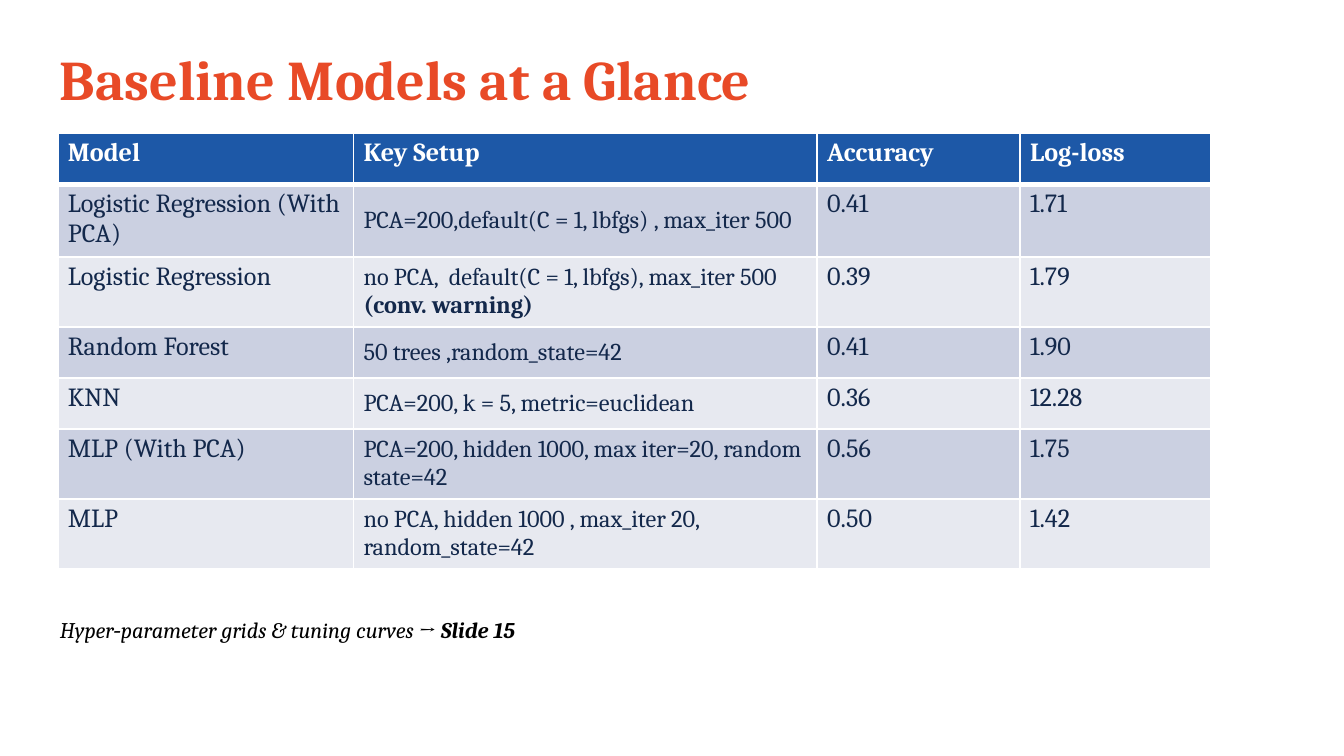
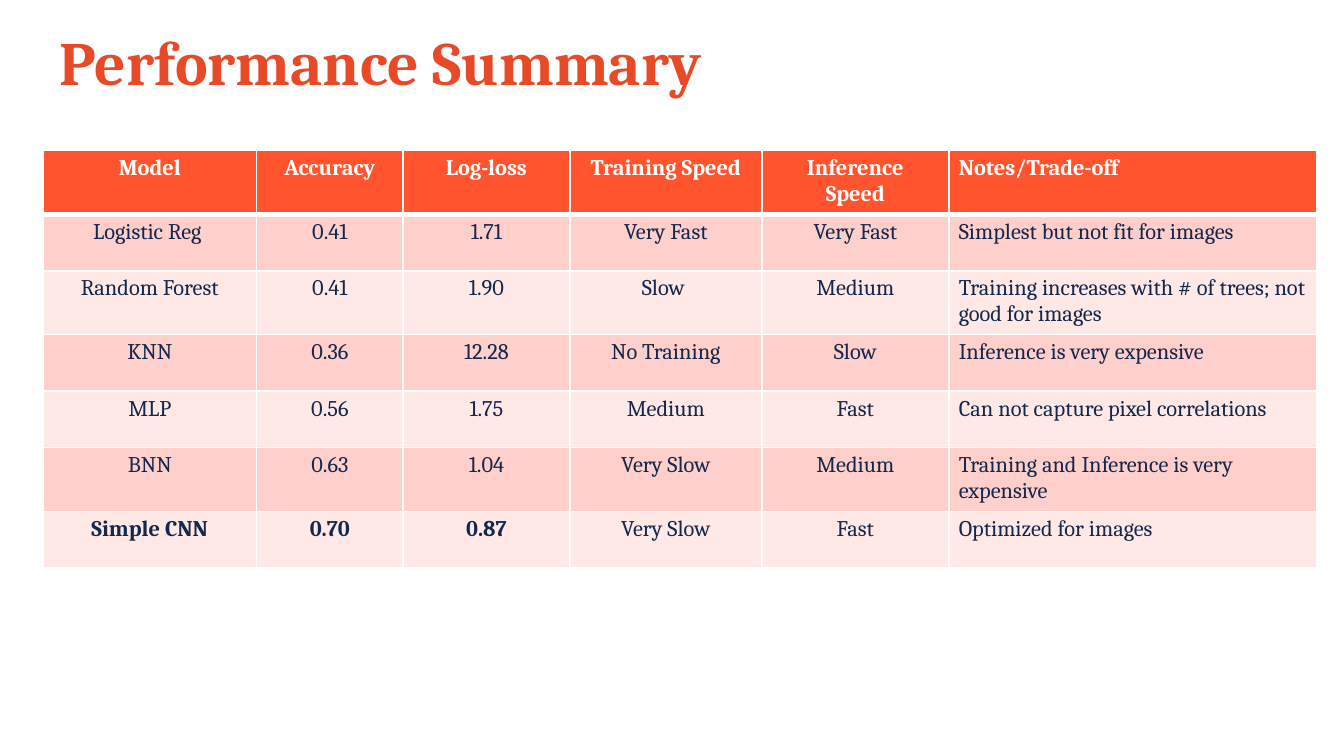
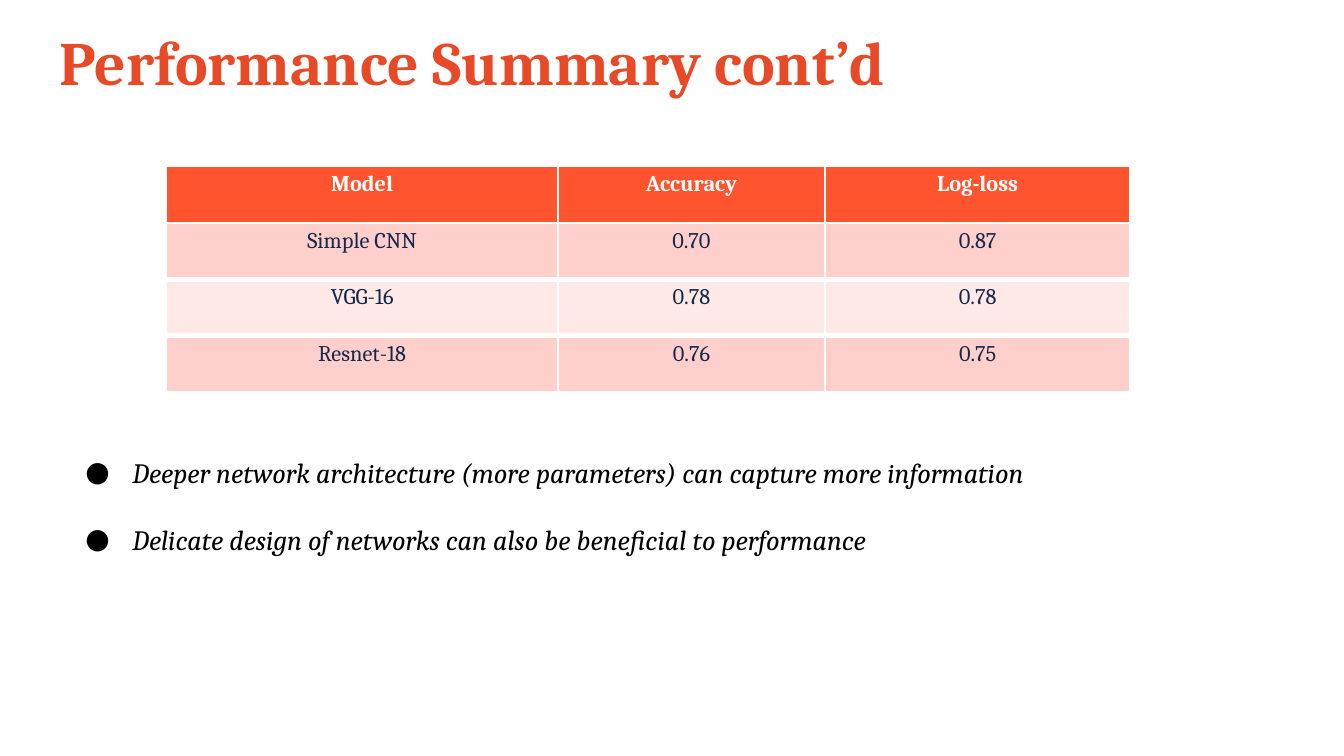
"""Builds three slides that compare model results in tables."""
from dataclasses import dataclass

import pptx
import pptx.dml.color
import pptx.enum.text
import pptx.oxml
import pptx.oxml.ns
import pptx.util

Inches = pptx.util.Inches
Pt = pptx.util.Pt
ALIGN = pptx.enum.text.PP_ALIGN
ANCHOR = pptx.enum.text.MSO_ANCHOR

FONT = "Cambria"
ORANGE, NAVY, WHITE, BLACK = "E84A27", "13284B", "FFFFFF", "000000"
CELL_PAD = Inches(0.15) // 2


@dataclass(frozen=True)
class Palette:
    """Fill colours of a table."""
    header: str
    odd: str
    even: str


BLUE = Palette("1D58A7", "CBD0E1", "E7E9F0")
RED = Palette("FF542E", "FFCFCC", "FFE9E7")


@dataclass(frozen=True)
class TextStyle:
    """Look of a piece of text."""
    size: float
    color: str
    bold: bool = False
    italic: bool = False


@dataclass(frozen=True)
class TableSpec:
    """Place, look and content of a table; ** marks bold text."""
    left: float
    top: float
    widths: tuple[float, ...]
    heights: tuple[float, ...]
    palette: Palette
    size: float
    rows: tuple[tuple[str, ...], ...]
    centered: int = 0
    thick_below: tuple[int, ...] = (0,)
    setup_col: int | None = None


BASELINES = TableSpec(
    0.43, 0.99, (2.2, 3.45, 1.51, 1.42),
    (0.38, 0.54, 0.52, 0.38, 0.38, 0.52, 0.52), BLUE, 14,
    (
        ("Model", "Key Setup", "Accuracy", "Log-loss"),
        ("Logistic Regression (With PCA)",
         "PCA=200,default(C = 1, lbfgs) , max_iter 500", "0.41", "1.71"),
        ("Logistic Regression",
         "no PCA,  default(C = 1, lbfgs), max_iter 500 **(conv. warning)**",
         "0.39", "1.79"),
        ("Random Forest", "50 trees ,random_state=42", "0.41", "1.90"),
        ("KNN", "PCA=200, k = 5, metric=euclidean", "0.36", "12.28"),
        ("MLP (With PCA)",
         "PCA=200, hidden 1000, max iter=20, random state=42", "0.56", "1.75"),
        ("MLP", "no PCA, hidden 1000 , max_iter 20, random_state=42",
         "0.50", "1.42"),
    ),
    setup_col=1,
)

SUMMARY = TableSpec(
    0.32, 1.12, (1.59, 1.09, 1.24, 1.43, 1.39, 2.74), (0.42,) * 7, RED, 12,
    (
        ("Model", "Accuracy", "Log-loss", "Training Speed",
         "Inference\nSpeed", "Notes/Trade-off"),
        ("Logistic Reg ", "0.41", "1.71", "Very Fast", "Very Fast",
         "Simplest but not fit for images"),
        ("Random Forest", "0.41", "1.90", "Slow ", "Medium",
         "Training increases with # of trees; not good for images"),
        ("KNN", "0.36", "12.28", "No Training", "Slow",
         "Inference is very expensive"),
        ("MLP", "0.56", "1.75", "Medium", "Fast",
         "Can not capture pixel correlations"),
        ("BNN", "0.63", "1.04", "Very Slow", "Medium",
         "Training and Inference is very expensive"),
        ("**Simple CNN**", "**0.70**", "**0.87**", "Very Slow", "Fast",
         "Optimized for images"),
    ),
    centered=5,
)

NETWORKS = TableSpec(
    1.24, 1.24, (2.91, 1.99, 2.27), (0.42,) * 4, RED, 12,
    (
        ("Model", "Accuracy", "Log-loss"),
        ("Simple CNN", "0.70", "0.87"),
        ("VGG-16", "0.78", "0.78"),
        ("Resnet-18", "0.76", "0.75"),
    ),
    centered=3,
    thick_below=(1, 2),
)

FINDINGS = (
    "Deeper network architecture (more parameters) can capture more information",
    "Delicate design of networks can also be beneficial to performance",
)


def rgb(value: str) -> pptx.dml.color.RGBColor:
    """Return the colour for a hex string."""
    return pptx.dml.color.RGBColor.from_string(value)


def write(tf, text: str, style: TextStyle) -> None:
    """Fill a text frame, one paragraph a line."""
    for i, line in enumerate(text.split("\n")):
        p = tf.paragraphs[0] if i == 0 else tf.add_paragraph()
        for j, part in enumerate(line.split("**")):
            if not part:
                continue
            r = p.add_run()
            r.text = part
            r.font.name = FONT
            r.font.size = Pt(style.size)
            r.font.color.rgb = rgb(style.color)
            r.font.bold = style.bold or j % 2 == 1
            r.font.italic = style.italic


def add_text(s, left: float, top: float, width: float, height: float,
             text: str, style: TextStyle):
    """Add a wrapped text box and return its text frame."""
    sp = s.shapes.add_textbox(*map(Inches, (left, top, width, height)))
    tf = sp.text_frame
    tf.word_wrap = True
    tf.margin_left = tf.margin_right = CELL_PAD
    tf.margin_top = tf.margin_bottom = CELL_PAD // 2
    write(tf, text, style)
    return tf


def add_title(s, text: str, top: float, size: float) -> None:
    """Add the slide title."""
    tf = add_text(s, 0.37, top, 9.42, 0.64, text, TextStyle(size, ORANGE, bold=True))
    tf.vertical_anchor = ANCHOR.MIDDLE
    tf.paragraphs[0].line_spacing = 0.9


def set_borders(cell, top: float, bottom: float) -> None:
    """Draw white borders round a cell, with the given widths above and below."""
    tc_pr = cell._tc.get_or_add_tcPr()
    for side, width in (("L", 1), ("R", 1), ("T", top), ("B", bottom)):
        tc_pr.append(pptx.oxml.parse_xml(
            f'<a:ln{side} {pptx.oxml.ns.nsdecls("a")} w="{Pt(width)}"><a:solidFill>'
            f'<a:srgbClr val="{WHITE}"/></a:solidFill></a:ln{side}>'))


def add_table(s, spec: TableSpec) -> None:
    """Add a banded table with a header row."""
    frame = s.shapes.add_table(
        len(spec.heights), len(spec.widths), Inches(spec.left), Inches(spec.top),
        Inches(sum(spec.widths)), Inches(sum(spec.heights)))
    table = frame.table
    for column, width in zip(table.columns, spec.widths):
        column.width = Inches(width)
    for i, (height, texts) in enumerate(zip(spec.heights, spec.rows)):
        table.rows[i].height = Inches(height)
        is_header = i == 0
        fill = spec.palette.odd if i % 2 else spec.palette.even
        above, below = (3 if n in spec.thick_below else 1 for n in (i - 1, i))
        for j, text in enumerate(texts):
            cell = table.cell(i, j)
            cell.margin_left = cell.margin_right = CELL_PAD
            cell.margin_top = cell.margin_bottom = CELL_PAD // 2
            set_borders(cell, above, below)
            cell.fill.solid()
            cell.fill.fore_color.rgb = rgb(spec.palette.header if is_header else fill)
            size = spec.size
            if j == spec.setup_col and not is_header:
                cell.vertical_anchor = ANCHOR.MIDDLE
                size -= 1
            write(cell.text_frame, text,
                  TextStyle(size, WHITE if is_header else NAVY, bold=is_header))
            if j < spec.centered:
                for p in cell.text_frame.paragraphs:
                    p.alignment = ALIGN.CENTER


def add_findings(s) -> None:
    """Add the bulleted findings."""
    tf = add_text(s, 0.41, 3.35, 9.42, 0.83, "\n".join(FINDINGS),
                  TextStyle(15, BLACK, italic=True))
    ns = pptx.oxml.ns.nsdecls("a")
    for i, p in enumerate(tf.paragraphs):
        p.space_before = Pt(18 if i else 0)
        p_pr = p._p.get_or_add_pPr()
        p_pr.set("marL", str(Inches(0.5)))
        p_pr.set("indent", str(Inches(-0.35)))
        for xml in (f'<a:buClr {ns}><a:srgbClr val="{BLACK}"/></a:buClr>',
                    f'<a:buFont {ns} typeface="{FONT}"/>',
                    f'<a:buChar {ns} char="●"/>'):
            p_pr.append(pptx.oxml.parse_xml(xml))


def main() -> None:
    """Build and save the slides."""
    prs = pptx.Presentation()
    prs.slide_width = Inches(10)
    prs.slide_height = prs.slide_width * 9 // 16
    baselines, summary, networks = (
        prs.slides.add_slide(prs.slide_layouts[6]) for _ in range(3))

    add_title(baselines, "Baseline Models at a Glance", 0.29, 30)
    add_text(baselines, 0.37, 4.55, 8.58, 0.28,
             "Hyper‑parameter grids & tuning curves → **Slide 15**",
             TextStyle(12, BLACK, italic=True))
    add_table(baselines, BASELINES)

    add_title(summary, "Performance Summary", 0.17, 33)
    add_table(summary, SUMMARY)

    add_title(networks, "Performance Summary cont’d", 0.17, 33)
    add_table(networks, NETWORKS)
    add_findings(networks)

    prs.save("out.pptx")


if __name__ == "__main__":
    main()
